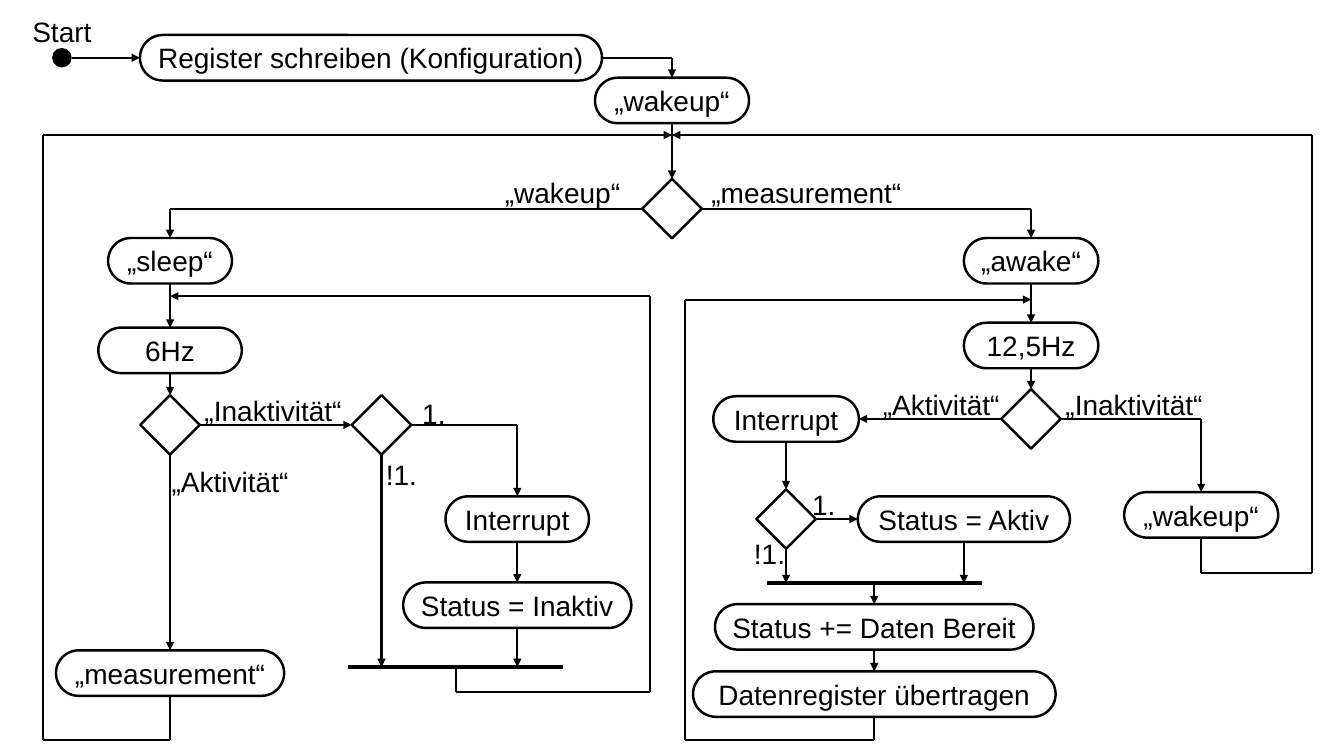
import itertools

import pptx
import pptx.dml.color
import pptx.enum.shapes
import pptx.enum.text
import pptx.oxml
import pptx.oxml.ns
import pptx.util

Pt = pptx.util.Pt
KIND = pptx.enum.shapes.MSO_SHAPE
BLACK = pptx.dml.color.RGBColor(0, 0, 0)
WHITE = pptx.dml.color.RGBColor(255, 255, 255)
TOP, LEFT, BOTTOM, RIGHT = range(4)

# Sizes of boxes and diamonds
BOX = 32.5
GEM = 42.5

# Columns
EDGE_L, SLEEP, GATE, IDLE, LOOP_L = 30.5, 121.5, 272.5, 369.5, 464.5
MID, LOOP_R, IRQ, DATA = 480, 489, 561.5, 624.5
ACTIVE, AWAKE, WAKE, EDGE_R = 688.5, 736.5, 858, 937

# Rows
START, MERGE, FORK, FLOOR = 41.25, 96.5, 149, 528.5
TEST_L, BACK_L, BAR_L, TURN_L = 303.5, 211.5, 476.5, 494
TEST_R, BACK_R, BAR_R, TURN_R = 299.25, 214, 416.5, 409.5

deck = pptx.Presentation()
deck.slide_width, deck.slide_height = Pt(960), Pt(540)
slide = deck.slides.add_slide(deck.slide_layouts[6])
slide.background.fill.solid()
slide.background.fill.fore_color.rgb = WHITE
shapes = slide.shapes


def write(shape, text, align):
    frame = shape.text_frame
    frame.text = text
    frame.word_wrap = False
    para = frame.paragraphs[0]
    para.alignment = align
    font = para.runs[0].font
    font.name, font.size, font.color.rgb = "Arial", Pt(20), BLACK


def route(*stops, arrow=True, width=1.5):
    """Link stops, each an (x, y) point or a (node name, side) pair."""
    for a, b in itertools.pairwise(stops):
        line = shapes.add_connector(pptx.enum.shapes.MSO_CONNECTOR.STRAIGHT, 0, 0, 0, 0)
        if a[0] in nodes:
            line.begin_connect(nodes[a[0]], a[1])
        else:
            line.begin_x, line.begin_y = Pt(a[0]), Pt(a[1])
        if b[0] in nodes:
            line.end_connect(nodes[b[0]], b[1])
        else:
            line.end_x, line.end_y = Pt(b[0]), Pt(b[1])
        line.line.color.rgb = BLACK
        line.line.width = Pt(width)
        props = line._element.spPr
        if arrow and b == stops[-1]:
            tip = pptx.oxml.ns.qn("a:tailEnd")
            props.find(pptx.oxml.ns.qn("a:ln")).append(
                pptx.oxml.xmlchemy.OxmlElement("a:tailEnd"))
            props.find(".//" + tip).set("type", "triangle")
        props.append(pptx.oxml.xmlchemy.OxmlElement("a:effectLst"))


# Nodes: name, text, centre x, top, width
states = [
    ("setup", "Register schreiben (Konfiguration)", 265, 25, 330),
    ("wakeup", "„wakeup“", MID, 55.5, 110),
    ("sleep", "„sleep“", SLEEP, 170, 88.5),
    ("slow", "6Hz", SLEEP, 234, 102.5),
    ("measure", "„measurement“", SLEEP, 464.5, 163),
    ("irq left", "Interrupt", IDLE, 354.5, 102.5),
    ("idle", "Status = Inaktiv", IDLE, 416, 163),
    ("awake", "„awake“", AWAKE, 170, 96),
    ("fast", "12,5Hz", AWAKE, 230.5, 96),
    ("irq right", "Interrupt", IRQ, 283, 104),
    ("active", "Status = Aktiv", ACTIVE, 354.5, 151.5),
    ("ready", "Status += Daten Bereit", DATA, 431.5, 227.5),
    ("send", "Datenregister übertragen", DATA, 479.5, 259),
    ("rewake", "„wakeup“", WAKE, 351.5, 110),
]
gems = [
    ("mode", MID, FORK),
    ("test left", SLEEP, TEST_L),
    ("gate left", GATE, TEST_L),
    ("test right", AWAKE, TEST_R),
    ("gate right", IRQ, 370.75),
]
nodes = {}
for name, text, x, y, width in states:
    box = shapes.add_shape(KIND.ROUNDED_RECTANGLE, Pt(x - width / 2), Pt(y), Pt(width), Pt(BOX))
    box.adjustments[0] = 0.5
    write(box, text, pptx.enum.text.PP_ALIGN.CENTER)
    box.text_frame.vertical_anchor = pptx.enum.text.MSO_ANCHOR.MIDDLE
    nodes[name] = box
for name, x, y in gems:
    nodes[name] = shapes.add_shape(
        KIND.DIAMOND, Pt(x - GEM / 2), Pt(y - GEM / 2), Pt(GEM), Pt(GEM))
for node in nodes.values():
    node.shadow.inherit = False
    node.fill.background()
    node.line.color.rgb = BLACK
    node.line.width = Pt(1.75)

dot = shapes.add_shape(KIND.FLOWCHART_CONNECTOR, Pt(37.25), Pt(START - 7), Pt(14), Pt(14))
dot.shadow.inherit = False
dot.fill.solid()
dot.fill.fore_color.rgb = BLACK
dot.line.fill.background()

# Straight steps between nodes
steps = [
    ("wakeup", BOTTOM, "mode", TOP),
    ("sleep", BOTTOM, "slow", TOP),
    ("slow", BOTTOM, "test left", TOP),
    ("test left", RIGHT, "gate left", LEFT),
    ("test left", BOTTOM, "measure", TOP),
    ("irq left", BOTTOM, "idle", TOP),
    ("awake", BOTTOM, "fast", TOP),
    ("fast", BOTTOM, "test right", TOP),
    ("test right", LEFT, "irq right", RIGHT),
    ("irq right", BOTTOM, "gate right", TOP),
    ("gate right", RIGHT, "active", LEFT),
    ("ready", BOTTOM, "send", TOP),
]
for start, out, goal, side in steps:
    route((start, out), (goal, side))

# Entry and branches
route((51.25, START), ("setup", LEFT))
route(("setup", RIGHT), (MID, START), ("wakeup", TOP))
route(("mode", LEFT), (SLEEP, FORK), ("sleep", TOP))
route(("mode", RIGHT), (AWAKE, FORK), ("awake", TOP))
route(("gate left", RIGHT), (IDLE, TEST_L), ("irq left", TOP))
route(("test right", RIGHT), (WAKE, TEST_R), ("rewake", TOP))

# Bars where branches meet
route((248.5, BAR_L), (402, BAR_L), arrow=False, width=3)
route((548, BAR_R), (701.5, BAR_R), arrow=False, width=3)
route(("gate left", BOTTOM), (GATE, BAR_L))
route(("idle", BOTTOM), (IDLE, BAR_L))
route(("gate right", BOTTOM), (IRQ, BAR_R))
route(("active", BOTTOM), (ACTIVE, BAR_R))
route((DATA, BAR_R), ("ready", TOP))

# Loops back
route(("measure", BOTTOM), (SLEEP, FLOOR), (EDGE_L, FLOOR), (EDGE_L, MERGE), (MID, MERGE))
route(("rewake", BOTTOM), (WAKE, TURN_R), (EDGE_R, TURN_R), (EDGE_R, MERGE), (MID, MERGE))
route((325.5, BAR_L), (325.5, TURN_L), (LOOP_L, TURN_L), (LOOP_L, BACK_L), (SLEEP, BACK_L))
route(("send", BOTTOM), (DATA, FLOOR), (LOOP_R, FLOOR), (LOOP_R, BACK_R), (AWAKE, BACK_R))

# Labels: text, left, top, width
labels = [
    ("Start", 16, 6.5, 57),
    ("„wakeup“", 353.5, 121.5, 98),
    ("„measurement“", 501, 121.5, 151),
    ("„Inaktivität“", 139, 277.5, 113),
    ("„Aktivität“", 115.5, 328.5, 98.5),
    ("1.", 294.5, 279.5, 31.5),
    ("!1.", 268.5, 323.5, 36.5),
    ("„Aktivität“", 623.5, 273, 98.5),
    ("„Inaktivität“", 754, 273, 113),
    ("1.", 573, 345, 31.5),
    ("!1.", 531.5, 379.5, 36.5),
]
for text, x, y, width in labels:
    label = shapes.add_textbox(Pt(x), Pt(y), Pt(width), Pt(31.5))
    write(label, text, pptx.enum.text.PP_ALIGN.LEFT)
    label.text_frame.auto_size = pptx.enum.text.MSO_AUTO_SIZE.SHAPE_TO_FIT_TEXT

deck.save("out.pptx")
